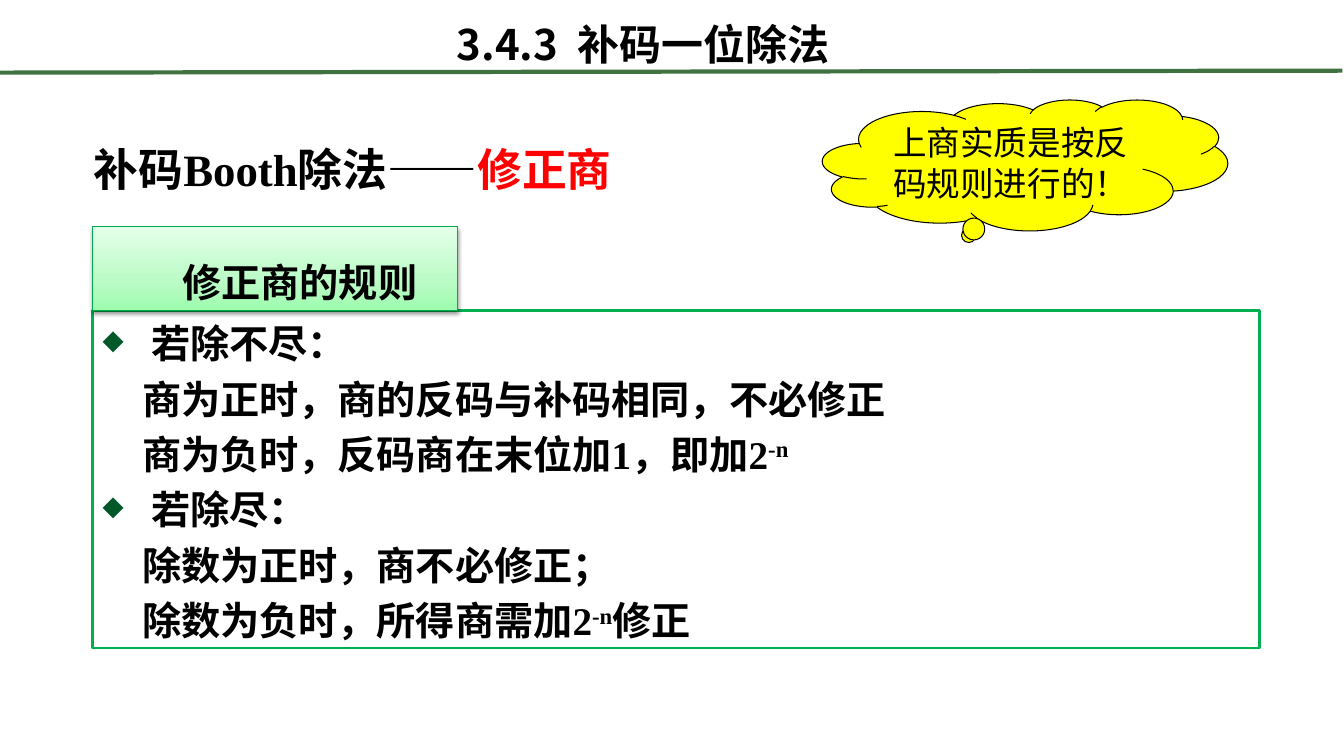
from lxml.etree import SubElement
from pptx import Presentation
from pptx.dml.color import RGBColor
from pptx.enum.shapes import MSO_CONNECTOR as CONN, MSO_SHAPE as SHAPE
from pptx.enum.text import MSO_ANCHOR as ANCHOR, PP_ALIGN as ALIGN
from pptx.oxml.ns import qn
from pptx.util import Cm, Pt

COLORS = {
    "text": "000000", "accent": "FF0000", "paper": "FFFFFF",
    "rule": "3F7141", "border": "00B050", "tab_border": "00AC4E",
    "bullet": "005828", "cloud": "FFFF00",
}
TAB_STOPS = [(0, "9DFCAE"), (35, "BBFBC6"), (100, "E4FFE9")]
SERIF, SANS = "Times New Roman", "Noto Sans CJK SC"
LEFT = 2.34


def rgb(name):
    return RGBColor.from_string(COLORS[name])


def add(parent, tag, **attrs):
    return SubElement(parent, qn(tag), {k: str(v) for k, v in attrs.items()})


class Deck:
    """Holds the text style and the current slide, and draws elements on it."""

    def __init__(self):
        self.prs = Presentation()
        self.prs.slide_width, self.prs.slide_height = Cm(33.87), Cm(19.05)
        self.s = self.prs.slides.add_slide(self.prs.slide_layouts[5])

    def frame(self, sp, anchor=ANCHOR.TOP, top=0.13):
        tf = sp.text_frame
        tf.word_wrap = True
        tf.vertical_anchor = anchor
        tf.margin_left = tf.margin_right = Cm(0.25)
        tf.margin_top, tf.margin_bottom = Cm(top), Cm(0.13)
        return tf

    def run(self, p, text, size, font=SERIF, bold=True, color="text", raised=False):
        r = p.add_run()
        r.text = text
        f = r.font
        f.size, f.name, f.bold = Pt(size), font, bold
        f.color.rgb = rgb(color)
        rpr = f._element
        add(rpr, "a:ea", typeface=SANS)
        if raised:
            rpr.set("baseline", "30000")

    def para(self, tf, first, spacing=None, align=ALIGN.LEFT, indent=None, before=6):
        p = tf.paragraphs[0] if first else tf.add_paragraph()
        p.alignment = align
        p.space_before = Pt(0 if first else before)
        if spacing:
            p.line_spacing = Pt(spacing)
        if indent:
            ppr = p._p.get_or_add_pPr()
            ppr.set("marL", str(Cm(indent[0])))
            ppr.set("indent", str(Cm(indent[1])))
        return p

    def bullet(self, p):
        ppr = p._p.get_or_add_pPr()
        add(add(ppr, "a:buClr"), "a:srgbClr", val=COLORS["bullet"])
        add(ppr, "a:buSzPct", val=70000)
        add(ppr, "a:buChar", char="◆")

    def title(self, text, x, y, w, h):
        sp = self.s.shapes.title
        sp.left, sp.top, sp.width, sp.height = map(Cm, (x, y, w, h))
        tf = self.frame(sp, ANCHOR.MIDDLE)
        self.run(self.para(tf, True, align=ALIGN.CENTER), text, 30, SANS)

    def textbox(self, x, y, w, h):
        return self.frame(self.s.shapes.add_textbox(*map(Cm, (x, y, w, h))))

    def shape(self, kind, x, y, w, h, fill, line, width):
        sp = self.s.shapes.add_shape(kind, *map(Cm, (x, y, w, h)))
        sp.shadow.inherit = False
        if fill:
            sp.fill.solid()
            sp.fill.fore_color.rgb = rgb(fill)
        sp.line.color.rgb = rgb(line)
        sp.line.width = Pt(width)
        return sp

    def gradient(self, sp, stops):
        sp.fill.gradient()
        sp.fill.gradient_angle = 90
        gs_list = sp._element.spPr.find(".//" + qn("a:gsLst"))
        for gs in list(gs_list):
            gs_list.remove(gs)
        for pos, color in stops:
            add(add(gs_list, "a:gs", pos=pos * 1000), "a:srgbClr", val=color)

    def shadow(self, sp):
        effects = sp._element.spPr.find(qn("a:effectLst"))
        shade = add(effects, "a:outerShdw", blurRad=Pt(3.1), dist=Pt(1.6),
                    dir=5400000, rotWithShape=0)
        add(add(shade, "a:srgbClr", val=COLORS["text"]), "a:alpha", val=38000)

    def rule(self, x1, y1, x2, y2):
        c = self.s.shapes.add_connector(CONN.STRAIGHT, *map(Cm, (x1, y1, x2, y2)))
        c.line.color.rgb = rgb("rule")
        c.line.width = Pt(3)
        add(c._element.spPr, "a:effectLst")


RULES = [
    ("若除不尽：", ["商为正时，商的反码与补码相同，不必修正"],
     ["商为负时，反码商在末位加1，即加2", "-n"]),
    ("若除尽：", ["除数为正时，商不必修正；"],
     ["除数为负时，所得商需加2", "-n", "修正"]),
]


def main():
    d = Deck()
    d.title("3.4.3  补码一位除法", 4.32, 0.33, 23.77, 1.55)

    p = d.para(d.textbox(2.11, 2.51, 30.23, 5.21), True, 65)
    d.run(p, "补码Booth除法——", 32)
    d.run(p, "修正商", 32, color="accent")

    body = d.shape(SHAPE.RECTANGLE, LEFT, 7.82, 29.41, 8.51, "paper", "border", 2)
    tf = d.frame(body, top=0.23)
    for i, (case, *lines) in enumerate(RULES):
        p = d.para(tf, i == 0, 33.6, indent=(1.22, -1.27))
        d.bullet(p)
        d.run(p, case, 28)
        for parts in lines:
            p = d.para(tf, False, 33.6, indent=(1.73, -0.74))
            p.level = 1
            for part in parts:
                d.run(p, part, 28, raised=part == "-n")

    cloud = d.shape(SHAPE.CLOUD_CALLOUT, 20.73, 2.51, 10.21, 3.3, "cloud", "text", 0.75)
    cloud.adjustments[0], cloud.adjustments[1] = -0.14, 0.54
    p = d.para(d.frame(cloud, ANCHOR.MIDDLE), True, 29.4, ALIGN.CENTER)
    d.run(p, "上商实质是按反码规则进行的！", 24, SANS, bold=False)

    tab = d.shape(SHAPE.RECTANGLE, LEFT, 5.72, 9.19, 2.1, None, "tab_border", 0.75)
    d.gradient(tab, TAB_STOPS)
    d.shadow(tab)
    p = d.para(d.frame(tab), True, 52, ALIGN.CENTER, (2.03, -0.79))
    d.run(p, "修正商的规则", 28)

    d.rule(0, 1.83, 33.83, 1.78)
    d.prs.save("out.pptx")


if __name__ == "__main__":
    main()
